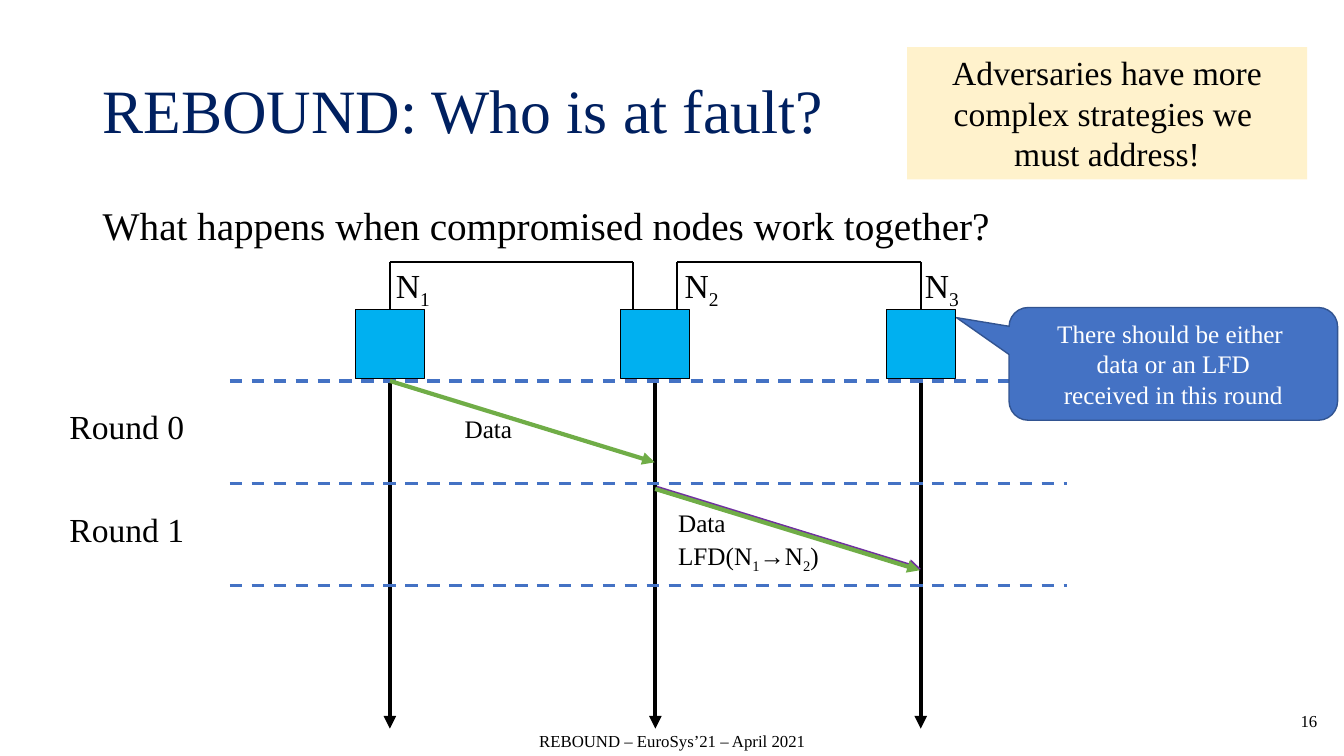
import pptx
import pptx.dml.color
import pptx.enum.dml
import pptx.enum.shapes
import pptx.enum.text
import pptx.oxml
import pptx.oxml.ns
import pptx.util

Cm = pptx.util.Cm
Pt = pptx.util.Pt
ALIGN = pptx.enum.text.PP_ALIGN
ANCHOR = pptx.enum.text.MSO_ANCHOR
SHAPE = pptx.enum.shapes.MSO_SHAPE

BLACK, WHITE, NAVY = "000000", "FFFFFF", "002060"
NODE_BLUE, BLUE, BLUE_EDGE = "00B0F0", "4472C4", "325491"
GREEN, PURPLE, CREAM = "70AD47", "7030A0", "FFF2CC"

NODE_LEFT, NODE_TOP, NODE_SIDE, NODE_STEP = 8.95, 7.8, 1.75, 6.69
LABEL_OFFSETS = (0.58, 1.17, 0.53)
LINK_TOP = 6.6
TIMELINE_END = 18.36
ROUND_TOP, ROUND_STEP = 9.6, 2.58


def rgb(color):
    return pptx.dml.color.RGBColor.from_string(color)


class Diagram:
    font_name = "Times New Roman"

    def __init__(self, slide):
        self.slide = slide

    def fill_text(self, shape, lines, size, color=BLACK, align=ALIGN.LEFT,
                  anchor=ANCHOR.TOP, spacing=None, wrap=True):
        """Fill a shape with text; segments between underscores are subscripts."""
        frame = shape.text_frame
        frame.word_wrap = wrap
        frame.vertical_anchor = anchor
        for index, line in enumerate(lines):
            paragraph = frame.paragraphs[0] if index == 0 else frame.add_paragraph()
            paragraph.alignment = align
            if spacing:
                paragraph.line_spacing = spacing
            for part, text in enumerate(line.split("_")):
                for row, words in enumerate(text.split("\n")):
                    if row:
                        paragraph.add_line_break()
                    if not words:
                        continue
                    run = paragraph.add_run()
                    run.text = words
                    run.font.name = self.font_name
                    run.font.size = Pt(size)
                    run.font.color.rgb = rgb(color)
                    if part % 2:
                        run._r.get_or_add_rPr().set("baseline", "-25000")

    def text(self, left, top, width, height, lines, size, **style):
        box = self.slide.shapes.add_textbox(Cm(left), Cm(top), Cm(width), Cm(height))
        self.fill_text(box, lines, size, **style)

    def shape(self, kind, left, top, width, height, fill, edge=None, edge_width=1):
        shape = self.slide.shapes.add_shape(
            kind, Cm(left), Cm(top), Cm(width), Cm(height))
        shape.shadow.inherit = False
        shape.fill.solid()
        shape.fill.fore_color.rgb = rgb(fill)
        if edge:
            shape.line.color.rgb = rgb(edge)
            shape.line.width = Pt(edge_width)
        else:
            shape.line.fill.background()
        return shape

    def line(self, start, end, color=BLACK, width=1.5, dash=False, arrow=False):
        connector = self.slide.shapes.add_connector(
            pptx.enum.shapes.MSO_CONNECTOR.STRAIGHT,
            Cm(start[0]), Cm(start[1]), Cm(end[0]), Cm(end[1]))
        connector.line.color.rgb = rgb(color)
        connector.line.width = Pt(width)
        if dash:
            connector.line.dash_style = pptx.enum.dml.MSO_LINE.DASH
        if arrow:
            tail = pptx.oxml.parse_xml(
                f'<a:tailEnd {pptx.oxml.ns.nsdecls("a")} type="triangle"/>')
            connector.line._get_or_add_ln().append(tail)
        connector._element.spPr.append(
            pptx.oxml.parse_xml(f'<a:effectLst {pptx.oxml.ns.nsdecls("a")}/>'))
        return connector

    def message(self, start, color):
        """Draw the arrow of a message from one timeline to the next."""
        left, top = start
        self.line(start, (left + 6.67, top + 2.05), color, 3, arrow=True)


def add_headings(diagram):
    diagram.text(2.34, 1.02, 28.02, 3.68, ["REBOUND: Who is at fault?"], 44,
                 color=NAVY, anchor=ANCHOR.MIDDLE, spacing=0.9)
    diagram.text(2.34, 5.08, 29.21, 1.4,
                 ["What happens when compromised nodes work together?"], 28, spacing=0.9)
    diagram.text(13.26, 18.16, 7.37, 1.02, ["REBOUND – EuroSys’21 – April 2021"], 12,
                 align=ALIGN.CENTER, anchor=ANCHOR.MIDDLE)
    diagram.text(25.83, 17.65, 7.62, 1.02, ["16"], 12,
                 align=ALIGN.RIGHT, anchor=ANCHOR.MIDDLE)


def add_nodes(diagram):
    """Draw the nodes with their timelines and the links above them."""
    nodes, centers = [], []
    for index, offset in enumerate(LABEL_OFFSETS):
        left = NODE_LEFT + index * NODE_STEP
        center = left + NODE_SIDE / 2
        node = diagram.shape(SHAPE.RECTANGLE, left, NODE_TOP, NODE_SIDE, NODE_SIDE,
                             NODE_BLUE, BLACK, 0.75)
        diagram.text(left + offset, 6.55, 1.75, 1.27, [f"N_{index + 1}_"], 24,
                     align=ALIGN.CENTER)
        timeline = diagram.line((center, NODE_TOP + NODE_SIDE), (center, TIMELINE_END),
                                width=3, arrow=True)
        timeline.begin_connect(node, 2)
        nodes.append(node)
        centers.append(center)

    links = ((nodes[0], centers[0], 15.95), (nodes[2], centers[2], 17.05))
    for node, outer, inner in links:
        stem = diagram.line((outer, LINK_TOP), (outer, NODE_TOP))
        stem.end_connect(node, 0)
        diagram.line((outer, LINK_TOP), (inner, LINK_TOP))
        diagram.line((inner, LINK_TOP), (inner, NODE_TOP))


def add_rounds(diagram):
    for index in range(3):
        top = ROUND_TOP + index * ROUND_STEP
        diagram.line((5.79, top), (26.9, top), BLUE, 2.25, dash=True)
        if index < 2:
            diagram.text(1.5, top + 0.51, 4.06, 1.27, [f"Round {index}"], 24)


def add_messages(diagram):
    diagram.message((9.83, 9.6), GREEN)
    diagram.message((16.54, 12.29), PURPLE)
    diagram.message((16.51, 12.32), GREEN)
    diagram.text(11.46, 10.29, 1.73, 1.02, ["Data"], 18, wrap=False)
    diagram.text(16.84, 12.65, 1.73, 1.02, ["Data"], 18, wrap=False)
    diagram.text(16.84, 13.49, 4.14, 1.8, ["LFD(N_1_→N_2_)"], 18, wrap=False)


def add_remarks(diagram):
    note = diagram.shape(SHAPE.RECTANGLE, 22.86, 1.19, 10.08, 3.33, CREAM)
    diagram.fill_text(note, ["Adversaries have more complex strategies we ",
                             "must address!"], 24, align=ALIGN.CENTER)
    callout = diagram.shape(SHAPE.ROUNDED_RECTANGULAR_CALLOUT, 25.43, 7.75, 8.28, 2.84,
                            BLUE, BLUE_EDGE)
    for index, value in enumerate((-0.66, -0.41, 0.17)):
        callout.adjustments[index] = value
    diagram.fill_text(callout, ["There should be either \ndata or an LFD",
                                "received in this round"],
                      18, color=WHITE, align=ALIGN.CENTER, anchor=ANCHOR.MIDDLE)


def main():
    presentation = pptx.Presentation()
    presentation.slide_width = Cm(33.87)
    presentation.slide_height = Cm(19.05)
    diagram = Diagram(presentation.slides.add_slide(presentation.slide_layouts[6]))
    add_headings(diagram)
    add_nodes(diagram)
    add_rounds(diagram)
    add_messages(diagram)
    add_remarks(diagram)
    presentation.save("out.pptx")


if __name__ == "__main__":
    main()
